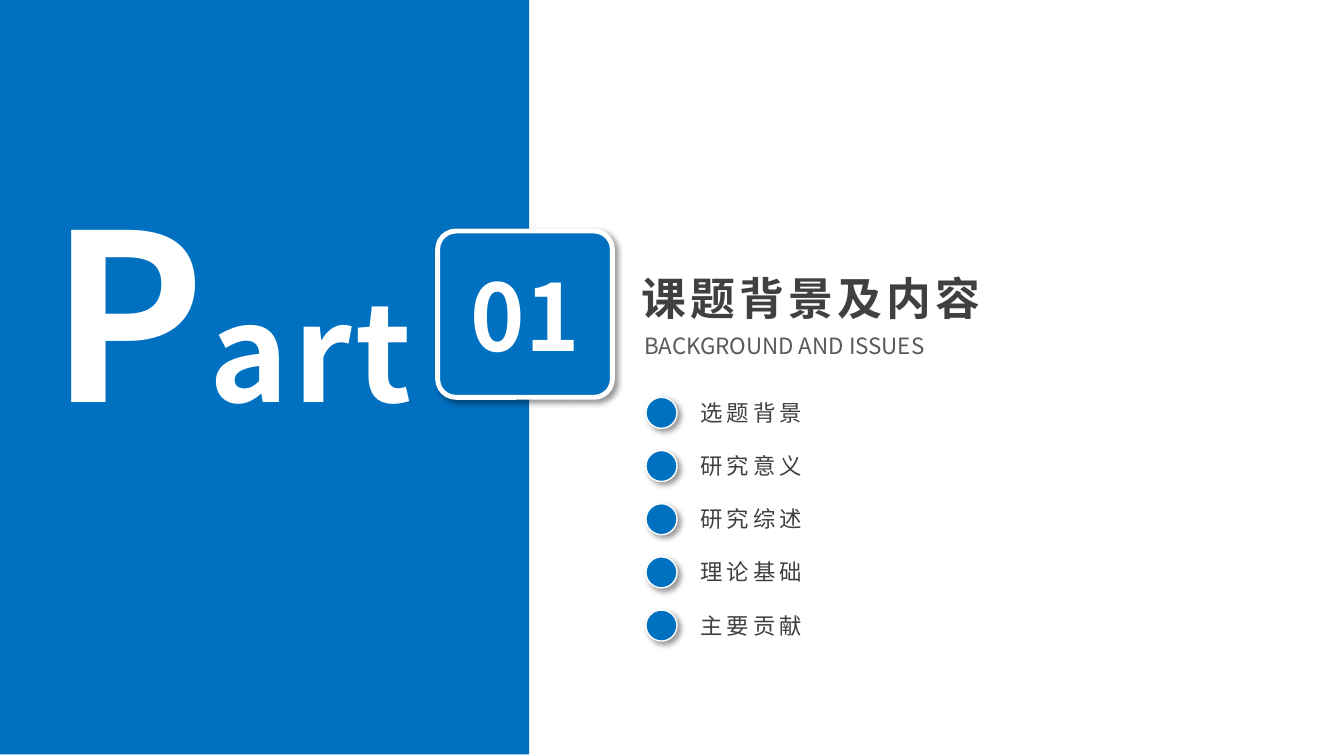
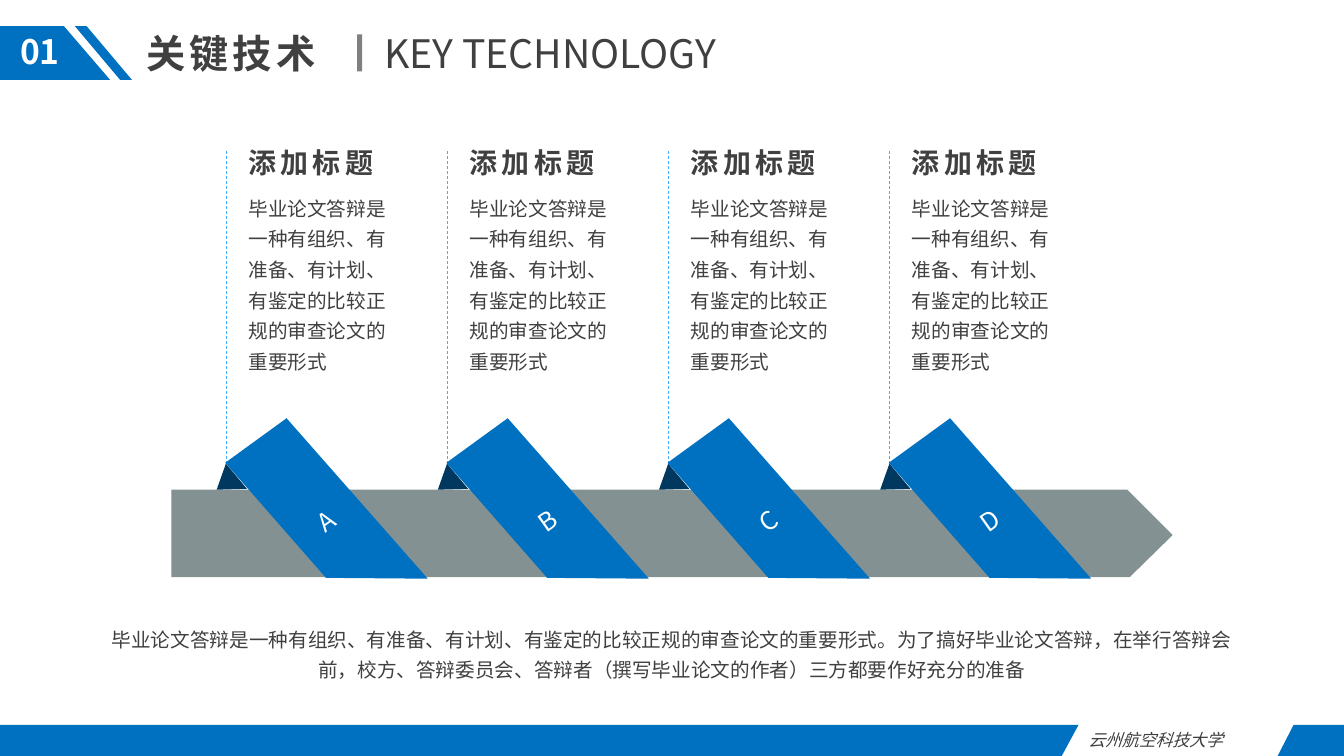
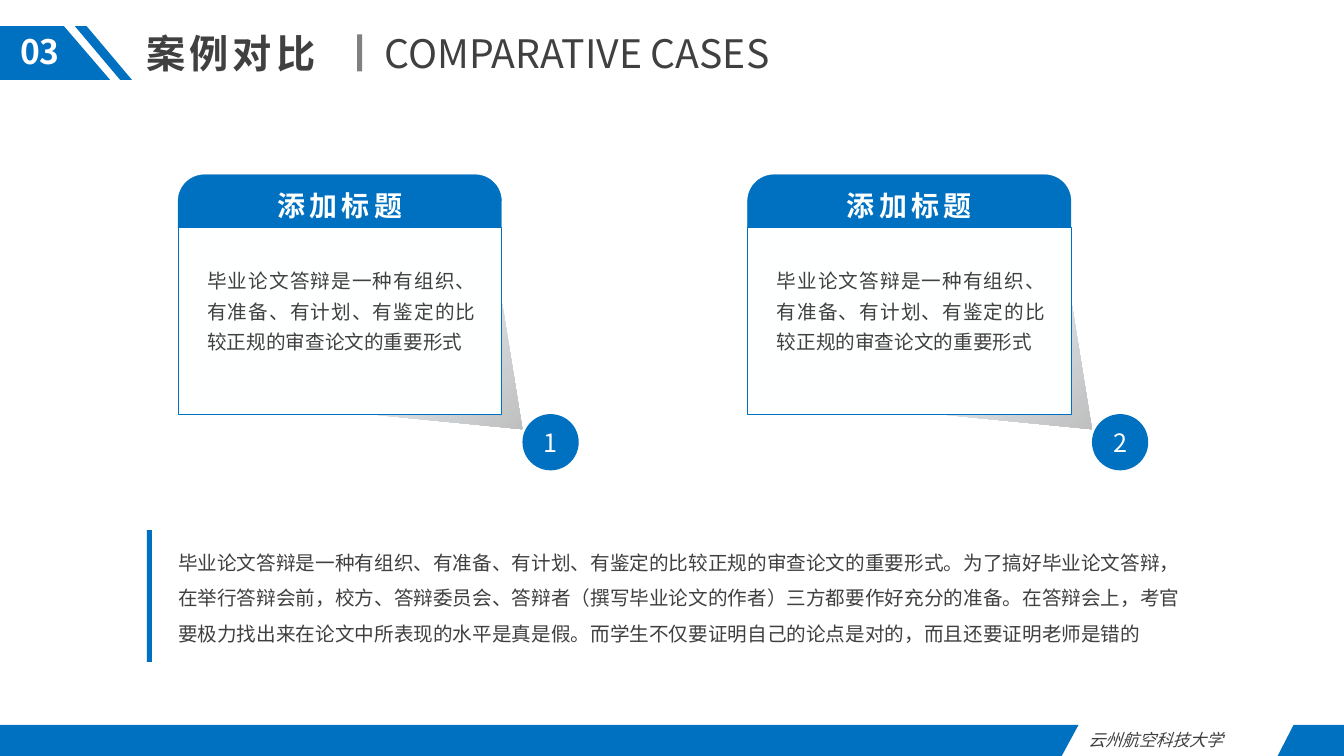
from dataclasses import dataclass, replace
from math import cos, radians, sin
from typing import Any, NamedTuple, Optional

from lxml.etree import SubElement
from pptx import Presentation
from pptx.dml.color import RGBColor
from pptx.enum.dml import MSO_LINE
from pptx.enum.shapes import MSO_CONNECTOR, MSO_SHAPE
from pptx.enum.text import MSO_ANCHOR, MSO_AUTO_SIZE, PP_ALIGN
from pptx.oxml.ns import qn
from pptx.util import Emu, Pt

COLS, ROWS, CELL = 160, 90, 76200
BLUE, NAVY, SKY = "0070C0", "003860", "40AFFF"
WHITE, PAPER, INK = "FFFFFF", "FEFFFF", "404040"
GREY, STEEL, SUBTLE = "808080", "839192", "595959"
CJK, LATIN = "Noto Sans CJK SC", "Arial"

HEADING = "添加标题"
SUMMARY = "毕业论文答辩是一种有组织、有准备、有计划、有鉴定的比较正规的审查论文的重要形式"
PREPARATION = (SUMMARY + "。为了搞好毕业论文答辩，在举行答辩会前，校方、答辩委员会、"
               "答辩者（撰写毕业论文的作者）三方都要作好充分的准备")
DEFENCE = (PREPARATION + "。在答辩会上，考官要极力找出来在论文中所表现的水平是真是假。"
           "而学生不仅要证明自己的论点是对的，而且还要证明老师是错的")
SCHOOL = "云州航空科技大学"


class Box(NamedTuple):
    col: float
    row: float
    cols: float
    rows: float

    def shifted(self, cols: float = 0, rows: float = 0) -> "Box":
        return self._replace(col=self.col + cols, row=self.row + rows)


class Point(NamedTuple):
    col: float
    row: float


@dataclass(frozen=True)
class Style:
    size: float
    color: str = INK
    bold: bool = False
    italic: bool = False
    tracking: float = 0
    font: str = CJK
    align: PP_ALIGN = PP_ALIGN.LEFT
    spacing: float = 1.0


@dataclass(frozen=True)
class Section:
    number: str
    title: str
    english: str
    english_cols: float


BODY = Style(14, font=LATIN, spacing=1.3)
CARD_TITLE = Style(20, bold=True, tracking=3)
PAGE_TITLE = Style(28, bold=True, tracking=3)
ITEM = Style(16, tracking=3)
MARK = Style(18, PAPER, align=PP_ALIGN.CENTER)

BOX_FORMAT = {"word_wrap": True, "auto_size": MSO_AUTO_SIZE.SHAPE_TO_FIT_TEXT,
              "vertical_anchor": MSO_ANCHOR.TOP}
SHAPE_FORMAT = {"word_wrap": True, "auto_size": MSO_AUTO_SIZE.NONE,
                "vertical_anchor": MSO_ANCHOR.MIDDLE}
NO_MARGINS = dict.fromkeys(
    ("margin_left", "margin_top", "margin_right", "margin_bottom"), 0)


def rgb(color: str) -> RGBColor:
    return RGBColor.from_string(color)


def grid(cells: float) -> Emu:
    return Emu(round(cells * CELL))


def assign(target: Any, values: dict[str, Any]) -> None:
    for name, value in values.items():
        setattr(target, name, value)


def place(sp: Any, box: Box) -> None:
    assign(sp, dict(zip(("left", "top", "width", "height"), map(grid, box))))


def add_run(p: Any, text: str, style: Style) -> None:
    r = p.add_run()
    r.text = text
    assign(r.font, {"size": Pt(style.size), "bold": style.bold,
                    "italic": style.italic, "name": style.font})
    r.font.color.rgb = rgb(style.color)
    rPr = r.font._element
    rPr.set("lang", "zh-CN")
    if style.tracking:
        rPr.set("spc", str(round(style.tracking * 100)))
    latin = rPr.find(qn("a:latin"))
    ea = latin.makeelement(qn("a:ea"), {"typeface": CJK})
    latin.addnext(ea)


def write(sp: Any, text: str, style: Style, **layout: Any) -> Any:
    tf = sp.text_frame
    assign(tf, layout)
    p = tf.paragraphs[0]
    assign(p, {"alignment": style.align, "line_spacing": style.spacing})
    add_run(p, text, style)
    return p


def add_text(s: Any, box: Box, text: str, style: Style, **layout: Any) -> Any:
    sp = s.shapes.add_textbox(*map(grid, box))
    return write(sp, text, style, **{**BOX_FORMAT, **layout})


def add_title(s: Any, box: Box, text: str, style: Style) -> None:
    sp = s.shapes.title
    place(sp, box)
    write(sp, text, style, **BOX_FORMAT)


def paint(sp: Any, fill: str, line: Optional[str] = None, width: float = 0) -> None:
    sp.shadow.inherit = False
    sp.fill.solid()
    sp.fill.fore_color.rgb = rgb(fill)
    if line:
        sp.line.color.rgb = rgb(line)
        sp.line.width = Pt(width)
    else:
        sp.line.fill.background()


def add_shape(s: Any, kind: MSO_SHAPE, box: Box, fill: str,
              line: Optional[str] = None, width: float = 0) -> Any:
    sp = s.shapes.add_shape(kind, *map(grid, box))
    paint(sp, fill, line, width)
    return sp


def add_outline(s: Any, points: list[Point], fill: str) -> Any:
    corners = [(grid(pt.col), grid(pt.row)) for pt in points]
    builder = s.shapes.build_freeform(*corners[0])
    builder.add_line_segments(corners[1:], close=True)
    sp = builder.convert_to_shape()
    paint(sp, fill)
    return sp


def drop_shadow(sp: Any) -> None:
    effects = sp._element.spPr.find(qn("a:effectLst"))
    shadow = SubElement(effects, qn("a:outerShdw"), {
        "blurRad": str(Pt(4)), "dist": str(Pt(3)), "dir": "2700000",
        "algn": "tl", "rotWithShape": "0"})
    color = SubElement(shadow, qn("a:srgbClr"), {"val": "000000"})
    SubElement(color, qn("a:alpha"), {"val": "40000"})


def add_guide(s: Any, start: Point, end: Point) -> None:
    c = s.shapes.add_connector(MSO_CONNECTOR.STRAIGHT, *map(grid, (*start, *end)))
    c.line.color.rgb = rgb(SKY)
    assign(c.line, {"width": Pt(0.5), "dash_style": MSO_LINE.DASH})
    SubElement(c._element.spPr, qn("a:effectLst"))


def shift(points: list[Point], cols: float) -> list[Point]:
    return [Point(pt.col + cols, pt.row) for pt in points]


def turn(points: list[Point], center: Point, degrees: float) -> list[Point]:
    co, si = cos(radians(degrees)), sin(radians(degrees))
    offsets = [(pt.col - center.col, pt.row - center.row) for pt in points]
    return [Point(center.col + x * co - y * si, center.row + x * si + y * co)
            for x, y in offsets]


def new_slide(prs: Any) -> Any:
    return prs.slides.add_slide(prs.slide_layouts[5])


def content_slide(prs: Any, section: Section) -> Any:
    s = new_slide(prs)
    add_title(s, Box(16.2, 2.9, 23.5, 6.8), section.title, PAGE_TITLE)
    add_shape(s, MSO_SHAPE.RECTANGLE, Box(42.5, 4.1, 0.6, 4.4), GREY)
    add_text(s, Box(44.6, 2.9, section.english_cols, 6.8), section.english,
             Style(28), word_wrap=False)
    top, low, foot = 3.1, 9.5, 86.3
    bands = (
        [Point(0, top), Point(7.6, top), Point(13.1, low), Point(0, low)],
        [Point(10.3, top), Point(15.7, low), Point(14.3, low), Point(8.9, top)],
        [Point(0, foot), Point(128.4, foot), Point(126.4, ROWS), Point(0, ROWS)],
        [Point(154, foot), Point(COLS, foot), Point(COLS, ROWS), Point(152.1, ROWS)],
    )
    for band in bands:
        add_outline(s, band, BLUE)
    add_text(s, Box(0, top, 9.5, 6), section.number,
             Style(24, WHITE, bold=True, align=PP_ALIGN.CENTER))
    add_text(s, Box(128.4, foot, 23.8, 3.6), SCHOOL,
             Style(12, italic=True, align=PP_ALIGN.JUSTIFY))
    return s


def build_part(prs: Any) -> None:
    s = new_slide(prs)
    add_shape(s, MSO_SHAPE.RECTANGLE, Box(0, 0, 63, 89.8), BLUE)
    initial = Style(166, WHITE, bold=True, tracking=3, align=PP_ALIGN.CENTER)
    p = add_text(s, Box(-10, 19.7, 75.2, 34.7), "P", initial)
    add_run(p, "art", replace(initial, size=96))

    sp = add_shape(s, MSO_SHAPE.ROUNDED_RECTANGLE, Box(52.1, 27.5, 20.8, 19.8),
                   BLUE, WHITE, 3.5)
    sp.adjustments[0] = 0.11
    drop_shadow(sp)
    write(sp, "01", Style(66, WHITE, bold=True, align=PP_ALIGN.CENTER),
          **SHAPE_FORMAT, **NO_MARGINS)

    add_title(s, Box(75.2, 31.6, 45.5, 7.7), "课题背景及内容",
              replace(PAGE_TITLE, size=32))
    add_text(s, Box(75.5, 38.9, 39.2, 4.4), "BACKGROUND AND ISSUES",
             Style(16, SUBTLE))
    topics = ("选题背景", "研究意义", "研究综述", "理论基础", "主要贡献")
    for i, topic in enumerate(topics):
        down = 6.33 * i
        dot = add_shape(s, MSO_SHAPE.OVAL, Box(76.9, 47.3, 3.7, 3.7).shifted(rows=down),
                        BLUE, WHITE, 1)
        drop_shadow(dot)
        add_text(s, Box(82.2, 46.9, 21.5, 4.4).shifted(rows=down), topic, ITEM)


def build_technology(prs: Any) -> None:
    s = content_slide(prs, Section("01", "关键技术", "KEY TECHNOLOGY", 44.4))
    letters, pitch, tilt = "ABCD", 26.33, 35.5
    steps = [(letter, pitch * i) for i, letter in enumerate(letters)]
    for _, across in steps:
        add_guide(s, Point(26.9 + across, 60), Point(26.9 + across, 17.8))

    add_outline(s, [Point(20.4, 58.3), Point(134.2, 58.3), Point(139.6, 63.7),
                    Point(134.5, 68.7), Point(20.4, 68.7)], STEEL)
    fold = [Point(25.8, 58.3), Point(26.9, 55.2), Point(29.4, 58.2)]
    ribbon = [Point(34.1, 49.8), Point(50.9, 68.9), Point(38.8, 68.8),
              Point(26.8, 55.1)]
    upright = turn(ribbon, Point(38.85, 62), tilt)
    for letter, across in steps:
        add_outline(s, shift(fold, across), NAVY)
        sp = add_outline(s, shift(upright, across), BLUE)
        sp.rotation = 360 - tilt
        write(sp, letter, MARK, **SHAPE_FORMAT)
        add_text(s, Box(28.4, 22, 20.2, 23.3).shifted(across), SUMMARY, BODY)
        add_text(s, Box(28.4, 16.7, 17.9, 5.3).shifted(across), HEADING,
                 CARD_TITLE, word_wrap=False)
    add_text(s, Box(11.5, 73.3, 137, 8.2), PREPARATION,
             replace(BODY, align=PP_ALIGN.CENTER))


def add_card(s: Any, number: str, across: float) -> None:
    flap = [Point(59.8, 36.2), Point(62.2, 51.1), Point(42.8, 49.2),
            Point(59.8, 49.2)]
    sp = add_outline(s, shift(flap, across), GREY)
    sp.fill.gradient()
    sp.fill.gradient_angle = 315
    for stop, color in zip(sp.fill.gradient_stops, ("EFF8FF", "BFBFBF")):
        stop.color.rgb = rgb(color)

    head = add_shape(s, MSO_SHAPE.ROUND_2_SAME_RECTANGLE,
                     Box(21.2, 20.8, 38.5, 6.3).shifted(across), BLUE, BLUE, 0.25)
    head.adjustments[0] = 0.5
    write(head, HEADING, replace(CARD_TITLE, color=PAPER, align=PP_ALIGN.CENTER),
          **SHAPE_FORMAT)
    add_shape(s, MSO_SHAPE.RECTANGLE, Box(21.2, 27.1, 38.5, 22.2).shifted(across),
              PAPER, BLUE, 0.25)
    add_text(s, Box(23.5, 30.6, 34.3, 12.2).shifted(across), SUMMARY,
             replace(BODY, align=PP_ALIGN.JUSTIFY))
    dot = add_shape(s, MSO_SHAPE.OVAL, Box(62.2, 49.3, 6.7, 6.7).shifted(across), BLUE)
    write(dot, number, MARK, **SHAPE_FORMAT)


def build_cases(prs: Any) -> None:
    s = content_slide(prs, Section("03", "案例对比", "COMPARATIVE CASES", 51.5))
    for i, number in enumerate("12"):
        add_card(s, number, 67.8 * i)
    add_shape(s, MSO_SHAPE.RECTANGLE, Box(17.5, 63.1, 0.6, 15.7), BLUE)
    add_text(s, Box(21.2, 59.5, 120.6, 22), DEFENCE, replace(BODY, spacing=1.5),
             **{**SHAPE_FORMAT, **NO_MARGINS})


def main() -> None:
    prs = Presentation()
    assign(prs, {"slide_width": grid(COLS), "slide_height": grid(ROWS)})
    for build in (build_part, build_technology, build_cases):
        build(prs)
    prs.save("out.pptx")


if __name__ == "__main__":
    main()
